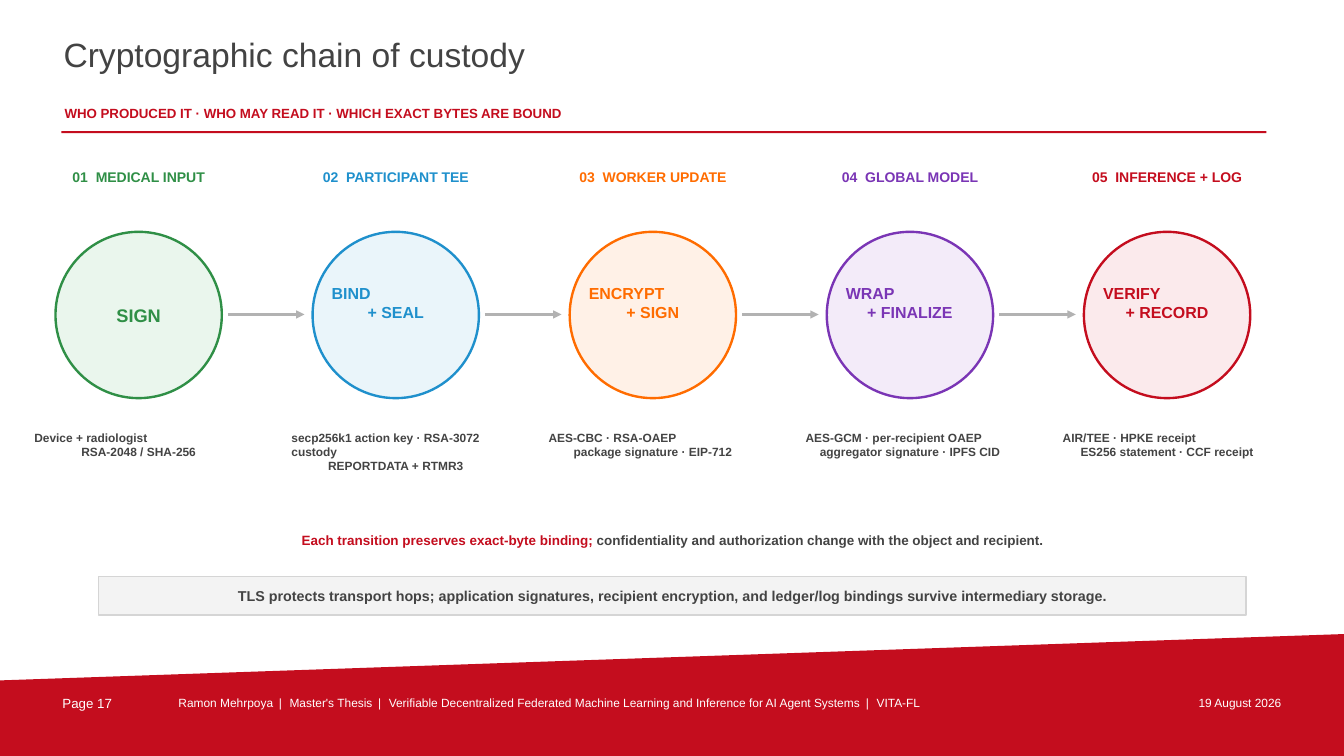
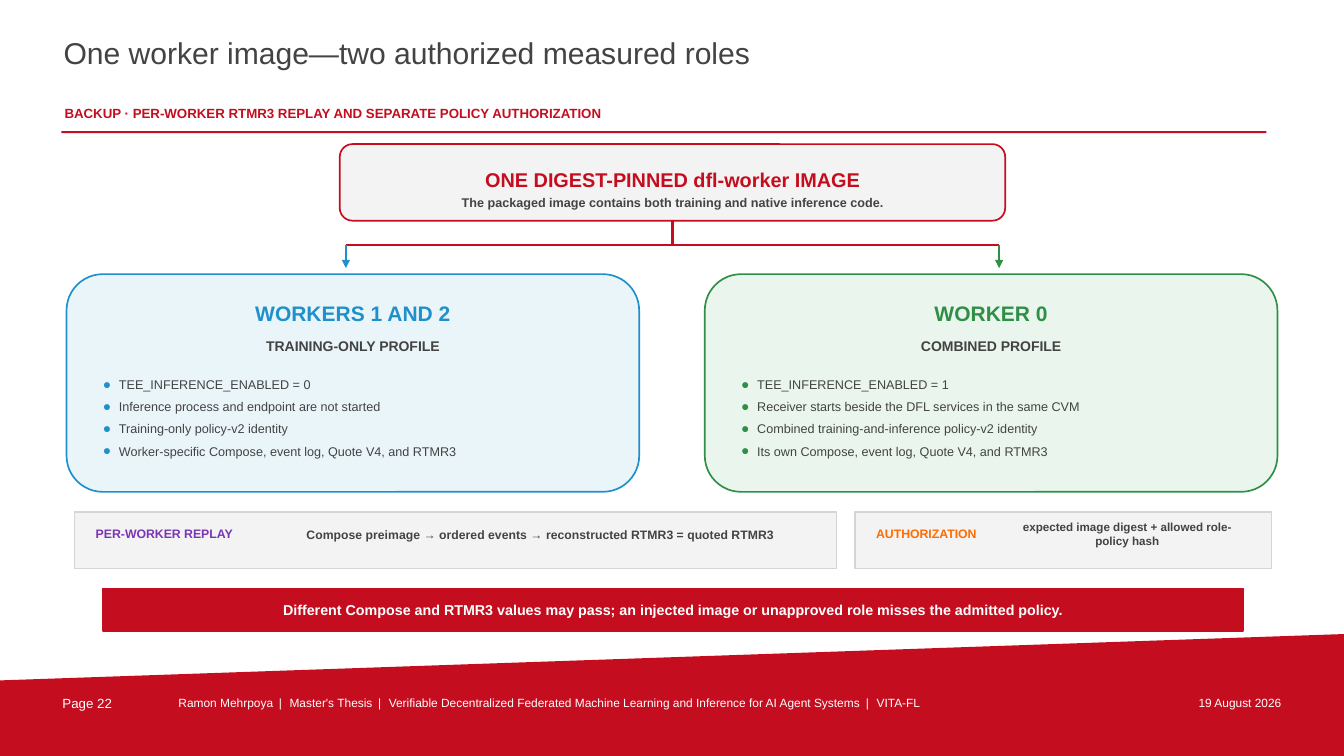
from dataclasses import dataclass

from lxml.etree import SubElement
from pptx import Presentation
from pptx.dml.color import RGBColor as Rgb
from pptx.enum.shapes import MSO_CONNECTOR as Link, MSO_SHAPE as Kind
from pptx.enum.text import MSO_ANCHOR as Anchor, PP_ALIGN as Align
from pptx.oxml.ns import qn
from pptx.util import Inches, Pt


@dataclass(frozen=True)
class Theme:
    font: str = "Arial"
    red: str = "C40D1E"
    blue: str = "1F90CC"
    green: str = "2F8F46"
    orange: str = "FF6C00"
    purple: str = "7A35B5"
    ink: str = "434343"
    white: str = "FFFFFF"
    gray: str = "B2B2B2"
    edge: str = "D5D5D5"
    pale: str = "F3F3F3"
    title: float = 24
    head: float = 15
    sign: float = 13
    step: float = 11.4
    note: float = 10.2
    label: float = 10
    sub: float = 9.5
    body: float = 9
    small: float = 8.5


T = Theme()
TINT = {T.red: "FBEAEC", T.blue: "EAF5FA", T.green: "EAF6ED",
        T.orange: "FFF1E7", T.purple: "F3EBF9"}
FOOT = ["Ramon Mehrpoya", "Master's Thesis",
        "Verifiable Decentralized Federated Machine Learning and Inference "
        "for AI Agent Systems", "VITA-FL"]


def add_run(para, words, size, color, bold=False, track=0):
    """Add one run; track is extra letter spacing in points."""
    run = para.add_run()
    run.text = words
    font = run.font
    font.name, font.size, font.bold = T.font, Pt(size), bold
    font.color.rgb = Rgb.from_string(color)
    if track:
        font._element.set("spc", str(round(track * 100)))


def add_box(slide, left, top, width, height, anchor=Anchor.TOP, inset=0.02):
    box = slide.shapes.add_textbox(*map(Inches, (left, top, width, height)))
    frame = box.text_frame
    frame.word_wrap = True
    frame.vertical_anchor = anchor
    frame.margin_left = frame.margin_right = Inches(inset)
    frame.margin_top = frame.margin_bottom = Inches(inset)
    return frame


def add_para(frame, align=Align.LEFT, first=True):
    para = frame.paragraphs[0] if first else frame.add_paragraph()
    para.alignment = align
    return para


def add_text(slide, area, words, size, color, bold=False, align=Align.LEFT,
             anchor=Anchor.TOP):
    para = add_para(add_box(slide, *area, anchor), align)
    add_run(para, words, size, color, bold)


def add_bold(slide, area, words, size, color, anchor=Anchor.TOP):
    add_text(slide, area, words, size, color, True, Align.CENTER, anchor)


def add_lines(slide, area, lines, size, color, anchor=Anchor.TOP, inset=0.02):
    """Bold lines: the last one is centred, those above start at the left."""
    frame = add_box(slide, *area, anchor, inset)
    for i, line in enumerate(lines):
        last = i == len(lines) - 1
        para = add_para(frame, Align.CENTER if last else Align.LEFT, i == 0)
        add_run(para, line, size, color, True)


def paint(shape, fill, line=None, width=1):
    shape.shadow.inherit = False
    shape.fill.solid()
    shape.fill.fore_color.rgb = Rgb.from_string(fill)
    if line:
        shape.line.color.rgb = Rgb.from_string(line)
        shape.line.width = Pt(width)
    else:
        shape.line.fill.background()


def add_shape(slide, kind, area, fill, line=None, width=1):
    paint(slide.shapes.add_shape(kind, *map(Inches, area)), fill, line, width)


def add_line(slide, start, end, color, width, arrow=False):
    line = slide.shapes.add_connector(Link.STRAIGHT,
                                      *map(Inches, (*start, *end)))
    line.line.color.rgb = Rgb.from_string(color)
    line.line.width = Pt(width)
    if arrow:
        SubElement(line.line._get_or_add_ln(), qn("a:tailEnd"), type="triangle")
    SubElement(line._element.spPr, qn("a:effectLst"))


def add_list(slide, area, items, color):
    frame = add_box(slide, *area)
    for i, item in enumerate(items):
        para = add_para(frame, first=i == 0)
        para.space_after = Pt(5)
        props = para._p.get_or_add_pPr()
        props.set("marL", str(Inches(0.16)))
        props.set("indent", str(-Inches(0.16)))
        tone = SubElement(props, qn("a:buClr"))
        SubElement(tone, qn("a:srgbClr"), val=color)
        SubElement(props, qn("a:buSzPct"), val="110000")
        SubElement(props, qn("a:buFont"), typeface=T.font)
        SubElement(props, qn("a:buChar"), char="●")
        add_run(para, item, T.body, T.ink)


def add_band(slide, layout):
    """Draw the slanted footer band and move it to the shared layout."""
    path = slide.shapes.build_freeform(Inches(0), Inches(6.75))
    edge = [(13.33, 6.29), (13.33, 7.5), (0, 7.5)]
    path.add_line_segments([tuple(map(Inches, p)) for p in edge], close=True)
    band = path.convert_to_shape()
    paint(band, T.red)
    layout.shapes.element.append(band.element)


def add_frame(slide, title, size, sub, page):
    """Add the title, subtitle, rule and footer that all slides share."""
    add_text(slide, (0.61, 0.32, 9.65, 0.62), title, size, T.ink)
    add_text(slide, (0.62, 1.02, 9.7, 0.22), sub, T.sub, T.red, True)
    add_shape(slide, Kind.RECTANGLE, (0.61, 1.3, 11.95, 0.02), T.red)
    add_text(slide, (0.6, 6.88, 1, 0.22), f"Page {page}", T.sub, T.white)
    para = add_para(add_box(slide, 1.75, 6.88, 9.35, 0.22))
    for i, part in enumerate(FOOT):
        if i:
            add_run(para, " | ", T.small, T.white, track=1.57)
        add_run(para, part, T.small, T.white)
    add_text(slide, (11.2, 6.88, 1.53, 0.22), "19 August 2026", T.small,
             T.white, align=Align.RIGHT)


def add_stage(slide, index, color, name, verb, notes):
    left = 0.55 + 2.55 * index
    para = add_para(add_box(slide, left - 0.2, 1.65, 2.05, 0.34), Align.CENTER)
    add_run(para, f"{index + 1:02}", T.label, color, True)
    add_run(para, " ", T.label, color, True, track=2.78)
    add_run(para, name, T.label, color, True)
    add_shape(slide, Kind.OVAL, (left, 2.3, 1.65, 1.65), TINT[color], color, 1.7)
    top, size = (2.82, T.sign) if len(verb) == 1 else (2.69, T.step)
    add_lines(slide, (left + 0.19, top, 1.27, 0.62), verb, size, color,
              Anchor.MIDDLE, 0)
    add_lines(slide, (left - 0.23, 4.25, 2.11, 0.66), notes, T.small, T.ink)


def add_role(slide, left, color, name, role, items):
    add_shape(slide, Kind.ROUNDED_RECTANGLE, (left, 2.72, 5.68, 2.16),
              TINT[color], color, 1.2)
    add_bold(slide, (left + 0.22, 2.96, 5.24, 0.28), name, T.head, color)
    add_bold(slide, (left + 0.22, 3.33, 5.24, 0.22), role, T.label, T.ink)
    add_list(slide, (left + 0.34, 3.72, 5.02, 0.96), items, color)


def add_check(slide, left, width, color, name, span, words, size):
    """Add a gray strip; span is the left and width of its statement."""
    add_shape(slide, Kind.RECTANGLE, (left, 5.08, width, 0.56), T.pale, T.edge)
    add_text(slide, (left + 0.19, 5.2, 1.76, 0.2), name, 8.8, color, True)
    add_bold(slide, (span[0], 5.16, span[1], 0.28), words, size, T.ink,
             Anchor.MIDDLE)


def add_banner(slide, area, words, fill, edge, color):
    left, top, width, height = area
    add_shape(slide, Kind.RECTANGLE, area, fill, edge)
    add_bold(slide, (left + 0.2, top + 0.1, width - 0.4, height - 0.2), words,
             T.note, color, Anchor.MIDDLE)


def draw_chain(slide):
    add_frame(slide, "Cryptographic chain of custody", T.title,
              "WHO PRODUCED IT · WHO MAY READ IT · WHICH EXACT BYTES ARE BOUND",
              17)
    stages = [
        (T.green, "MEDICAL INPUT", ["SIGN"],
         ["Device + radiologist", "RSA-2048 / SHA-256"]),
        (T.blue, "PARTICIPANT TEE", ["BIND", "+ SEAL"],
         ["secp256k1 action key · RSA-3072 custody", "REPORTDATA + RTMR3"]),
        (T.orange, "WORKER UPDATE", ["ENCRYPT", "+ SIGN"],
         ["AES-CBC · RSA-OAEP", "package signature · EIP-712"]),
        (T.purple, "GLOBAL MODEL", ["WRAP", "+ FINALIZE"],
         ["AES-GCM · per-recipient OAEP", "aggregator signature · IPFS CID"]),
        (T.red, "INFERENCE + LOG", ["VERIFY", "+ RECORD"],
         ["AIR/TEE · HPKE receipt", "ES256 statement · CCF receipt"]),
    ]
    for i, stage in enumerate(stages):
        if i:
            end = 0.47 + 2.55 * i
            add_line(slide, (end - 0.76, 3.12), (end, 3.12), T.gray, 1.7, True)
        add_stage(slide, i, *stage)
    para = add_para(add_box(slide, 1.08, 5.24, 11.18, 0.24, Anchor.MIDDLE),
                    Align.CENTER)
    add_run(para, "Each transition preserves exact-byte binding; ", 9.6, T.red,
            True)
    add_run(para, "confidentiality and authorization change with the object "
            "and recipient.", 9.6, T.ink, True)
    add_banner(slide, (0.98, 5.72, 11.38, 0.38),
               "TLS protects transport hops; application signatures, recipient "
               "encryption, and ledger/log bindings survive intermediary "
               "storage.", T.pale, T.edge, T.ink)


def draw_roles(slide):
    add_frame(slide, "One worker image—two authorized measured roles", 21.5,
              "BACKUP · PER-WORKER RTMR3 REPLAY AND SEPARATE POLICY "
              "AUTHORIZATION", 22)
    add_shape(slide, Kind.ROUNDED_RECTANGLE, (3.37, 1.43, 6.6, 0.76), T.pale,
              T.red, 1.2)
    add_bold(slide, (3.63, 1.64, 6.08, 0.25),
             "ONE DIGEST-PINNED dfl-worker IMAGE", 14.2, T.red)
    add_bold(slide, (3.73, 1.91, 5.88, 0.19),
             "The packaged image contains both training and native inference "
             "code.", T.body, T.ink)
    add_line(slide, (6.67, 2.19), (6.67, 2.43), T.red, 1.6)
    add_line(slide, (3.43, 2.43), (9.91, 2.43), T.red, 1.6)
    for x, color in ((3.43, T.blue), (9.91, T.green)):
        add_line(slide, (x, 2.43), (x, 2.66), color, 1.6, True)
    add_role(slide, 0.66, T.blue, "WORKERS 1 AND 2", "TRAINING-ONLY PROFILE", [
        "TEE_INFERENCE_ENABLED = 0",
        "Inference process and endpoint are not started",
        "Training-only policy-v2 identity",
        "Worker-specific Compose, event log, Quote V4, and RTMR3"])
    add_role(slide, 6.99, T.green, "WORKER 0", "COMBINED PROFILE", [
        "TEE_INFERENCE_ENABLED = 1",
        "Receiver starts beside the DFL services in the same CVM",
        "Combined training-and-inference policy-v2 identity",
        "Its own Compose, event log, Quote V4, and RTMR3"])
    add_check(slide, 0.74, 7.56, T.purple, "PER-WORKER REPLAY", (2.65, 5.42),
              "Compose preimage → ordered events → reconstructed RTMR3 = "
              "quoted RTMR3", 8.7)
    add_check(slide, 8.48, 4.13, T.orange, "AUTHORIZATION", (9.98, 2.4),
              "expected image digest + allowed role-policy hash", 8.3)
    add_banner(slide, (1.02, 5.84, 11.31, 0.42),
               "Different Compose and RTMR3 values may pass; an injected image "
               "or unapproved role misses the admitted policy.", T.red, T.red,
               T.white)


def main():
    deck = Presentation()
    deck.slide_width, deck.slide_height = Inches(13.33), Inches(7.5)
    blank = deck.slide_layouts[6]
    chain, roles = (deck.slides.add_slide(blank) for _ in range(2))
    add_band(chain, blank)
    draw_chain(chain)
    draw_roles(roles)
    deck.save("out.pptx")


if __name__ == "__main__":
    main()
